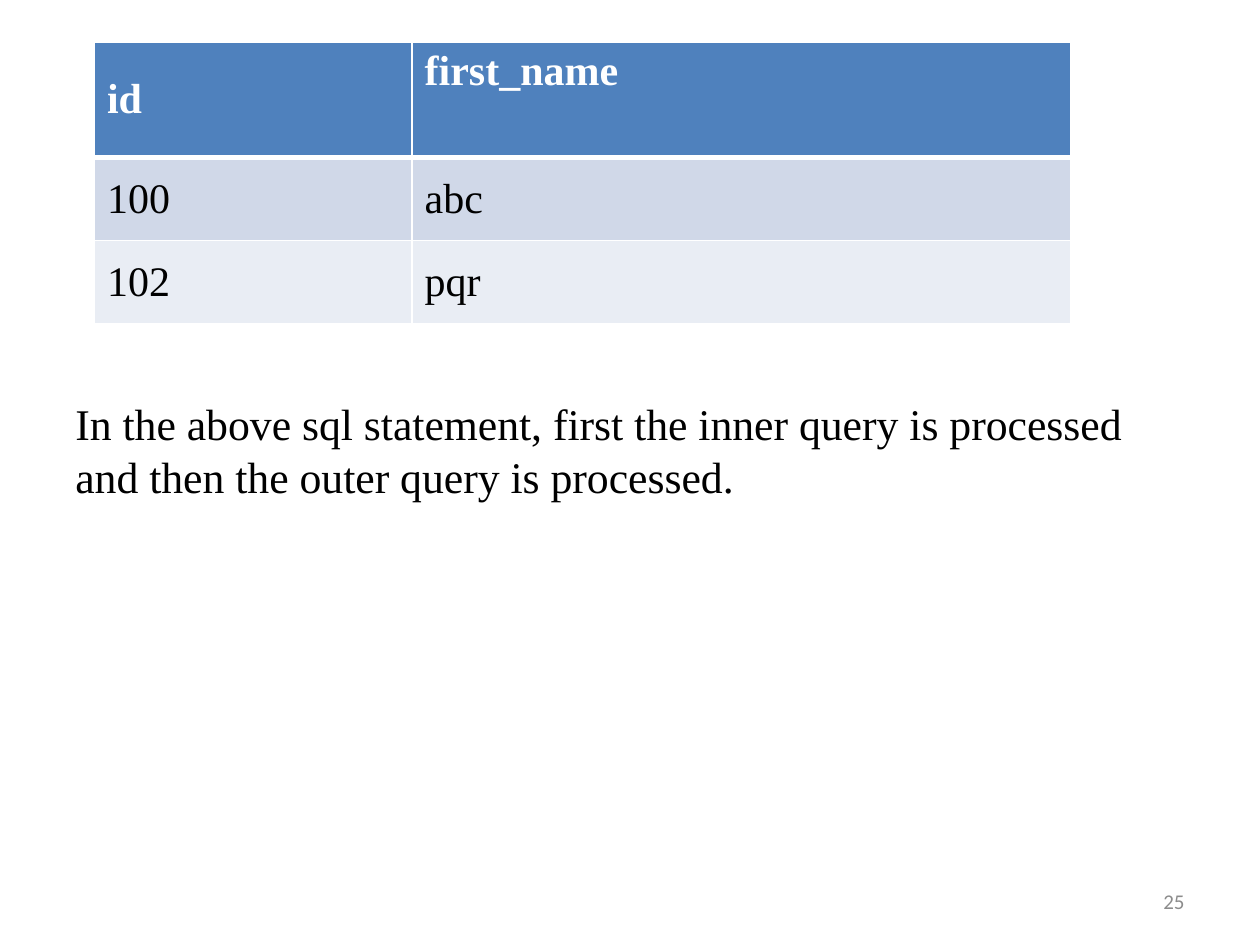
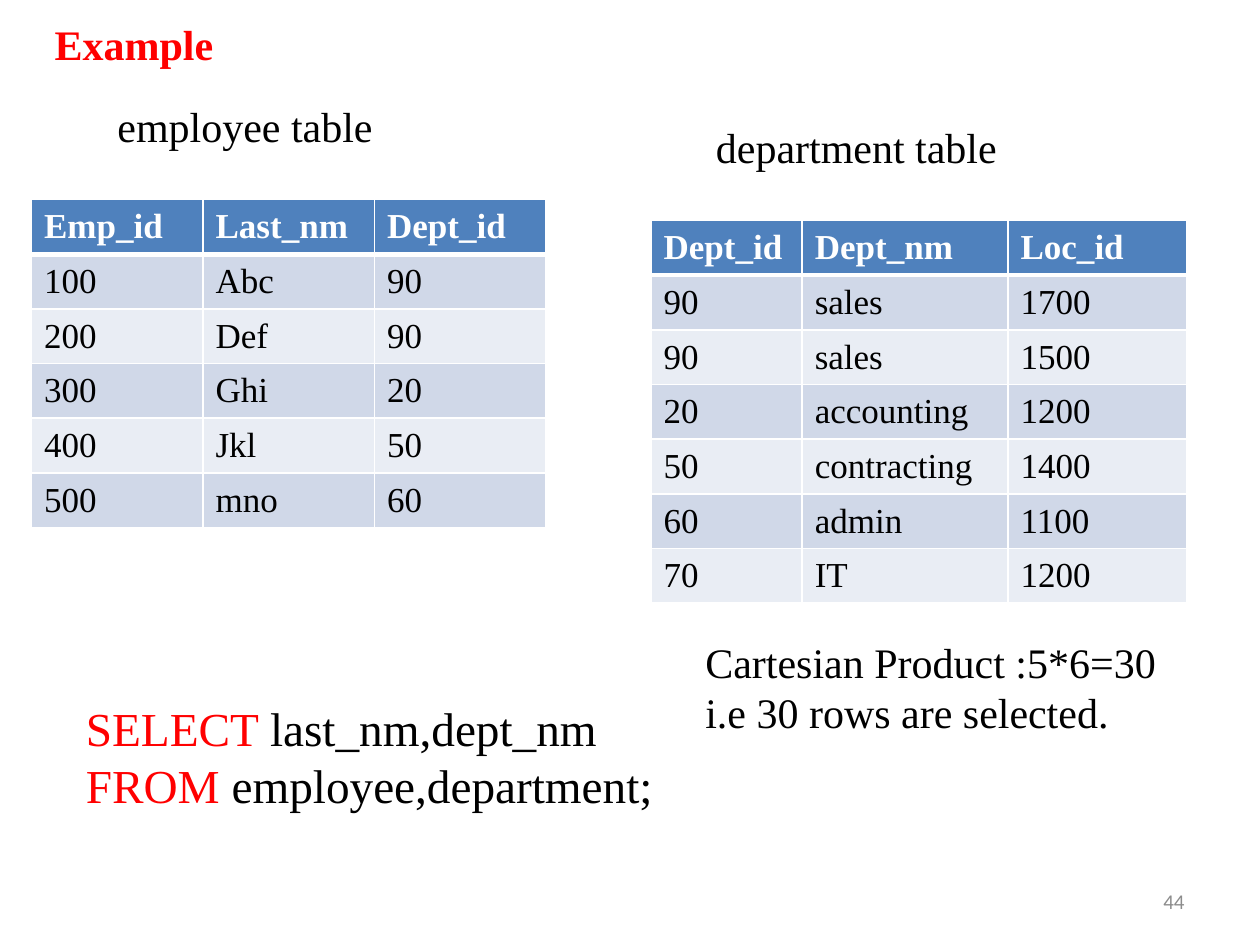
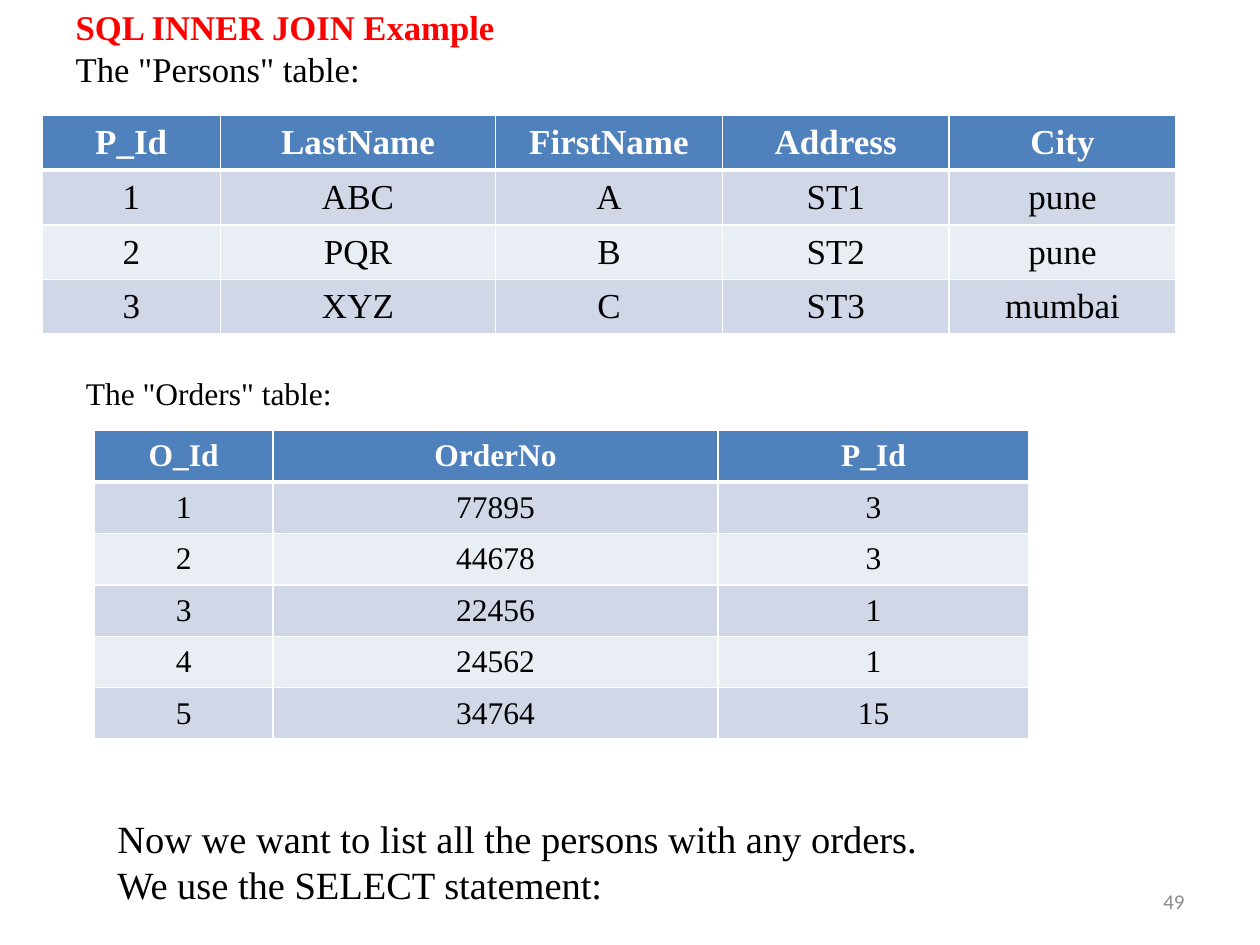
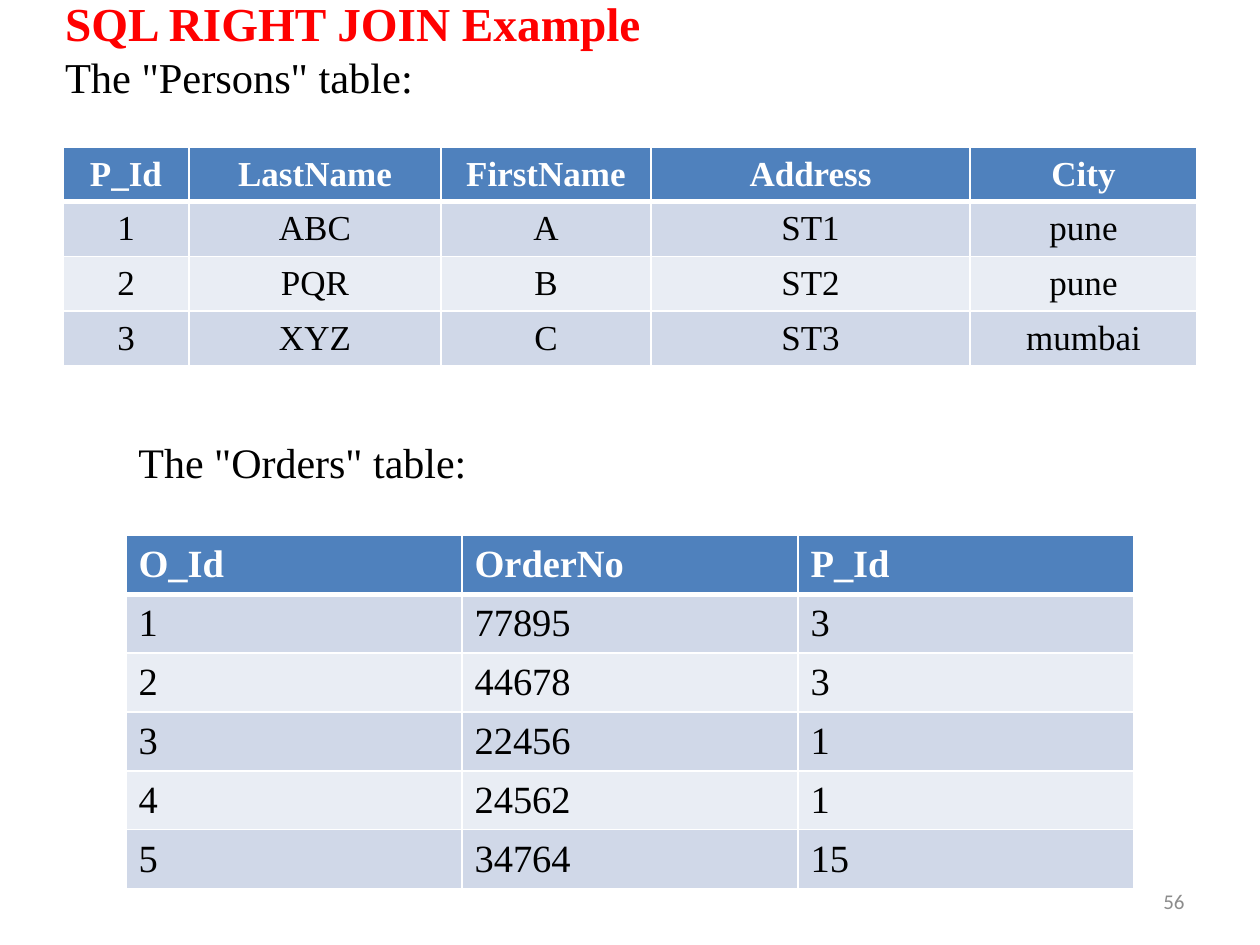
"""Build four slides on SQL subqueries and joins, laid out on a 120 by 90 grid."""
from dataclasses import dataclass
from typing import NamedTuple

from pptx import Presentation
from pptx.dml.color import RGBColor
from pptx.enum.text import MSO_ANCHOR, PP_ALIGN
from pptx.oxml import parse_xml
from pptx.oxml.ns import nsdecls
from pptx.slide import Slide
from pptx.table import Table, _Cell
from pptx.text.text import TextFrame
from pptx.util import Inches, Length, Pt

COLUMNS, ROWS = 120, 90
SLIDE_WIDTH, SLIDE_HEIGHT = Inches(10), Inches(7.5)
TITLE_ONLY, BLANK = 5, 6
SERIF, SANS = "Times New Roman", "Calibri"
BLACK = RGBColor(0x00, 0x00, 0x00)
WHITE = RGBColor(0xFF, 0xFF, 0xFF)
RED = RGBColor(0xFF, 0x00, 0x00)
GRAY = RGBColor(0x8C, 0x8C, 0x8C)
HEADER_BLUE = RGBColor(0x4F, 0x81, 0xBD)
BANDS = (RGBColor(0xE9, 0xED, 0xF4), RGBColor(0xD0, 0xD8, 0xE8))
THIN, THICK = Pt(1), Pt(3)


class Area(NamedTuple):
    """A rectangle in grid columns and rows."""
    left: float
    top: float
    width: float
    height: float


class Span(NamedTuple):
    """A piece of text whose unset format falls back to that of its frame."""
    text: str
    color: RGBColor | None = None
    size: float | None = None
    bold: bool | None = None


@dataclass(frozen=True)
class Grid:
    """A data table with its place and column widths on the grid."""
    left: float
    top: float
    widths: tuple[float, ...]
    records: tuple[tuple[str, ...], ...]
    size: float = 20
    align: PP_ALIGN = PP_ALIGN.LEFT
    row_height: float = 4.9
    header_height: float | None = None


Line = str | tuple[Span, ...]

NUMBER_AREA = Area(86, 83.4, 28, 4.8)
NAMES = (("id", "first_name"), ("100", "abc"), ("102", "pqr"))
EMPLOYEES = (
    ("Emp_id", "Last_nm", "Dept_id"),
    ("100", "Abc", "90"),
    ("200", "Def", "90"),
    ("300", "Ghi", "20"),
    ("400", "Jkl", "50"),
    ("500", "mno", "60"),
)
DEPARTMENTS = (
    ("Dept_id", "Dept_nm", "Loc_id"),
    ("90", "sales", "1700"),
    ("90", "sales", "1500"),
    ("20", "accounting", "1200"),
    ("50", "contracting", "1400"),
    ("60", "admin", "1100"),
    ("70", "IT", "1200"),
)
PERSONS = (
    ("P_Id", "LastName", "FirstName", "Address", "City"),
    ("1", "ABC", "A", "ST1", "pune"),
    ("2", "PQR", "B", "ST2", "pune"),
    ("3", "XYZ", "C", "ST3", "mumbai"),
)
ORDERS = (
    ("O_Id", "OrderNo", "P_Id"),
    ("1", "77895", "3"),
    ("2", "44678", "3"),
    ("3", "22456", "1"),
    ("4", "24562", "1"),
    ("5", "34764", "15"),
)
PERSONS_CAPTION = 'The "Persons" table:'
ORDERS_CAPTION = 'The "Orders" table:'


def across(columns: float) -> Length:
    """Return the length of a number of grid columns."""
    return Length(round(SLIDE_WIDTH * columns / COLUMNS))


def down(rows: float) -> Length:
    """Return the length of a number of grid rows."""
    return Length(round(SLIDE_HEIGHT * rows / ROWS))


def place(area: Area) -> tuple[Length, Length, Length, Length]:
    """Return left, top, width and height of an area on the slide."""
    return across(area.left), down(area.top), across(area.width), down(area.height)


def write(frame: TextFrame, *lines: Line, size: float = 24, color: RGBColor = BLACK,
          bold: bool = False, font: str = SERIF, align: PP_ALIGN = PP_ALIGN.LEFT) -> None:
    """Fill a frame with one paragraph per line."""
    for index, line in enumerate(lines):
        paragraph = frame.add_paragraph() if index else frame.paragraphs[0]
        paragraph.alignment = align
        for span in (Span(line),) if isinstance(line, str) else line:
            run = paragraph.add_run()
            run.text = span.text
            run.font.name = font
            run.font.size = Pt(span.size or size)
            run.font.bold = bold if span.bold is None else span.bold
            run.font.color.rgb = span.color or color


def add_text(slide: Slide, area: Area, *lines: Line, anchor: MSO_ANCHOR = MSO_ANCHOR.TOP,
             **text_format) -> None:
    """Add a wrapping text box."""
    frame = slide.shapes.add_textbox(*place(area)).text_frame
    frame.word_wrap = True
    frame.vertical_anchor = anchor
    write(frame, *lines, **text_format)


def set_title(slide: Slide, area: Area, *lines: Line, size: float,
              rows_below: float = 0) -> None:
    """Place the title, keeping some rows free below its text."""
    title = slide.shapes.title
    title.left, title.top, title.width, title.height = place(area)
    frame = title.text_frame
    frame.word_wrap = True
    frame.vertical_anchor = MSO_ANCHOR.BOTTOM if rows_below else MSO_ANCHOR.MIDDLE
    if rows_below:
        frame.margin_bottom = down(rows_below)
    write(frame, *lines, size=size, color=RED, bold=True)


def set_borders(cell: _Cell, top: Length, bottom: Length) -> None:
    """Draw white borders around a cell."""
    properties = cell._tc.get_or_add_tcPr()
    edges = {"lnL": THIN, "lnR": THIN, "lnT": top, "lnB": bottom}
    for index, (edge, width) in enumerate(edges.items()):
        properties.insert(index, parse_xml(
            f'<a:{edge} {nsdecls("a")} w="{int(width)}"><a:solidFill>'
            f'<a:srgbClr val="{WHITE}"/></a:solidFill></a:{edge}>'))


def add_grid(slide: Slide, grid: Grid) -> Table:
    """Add a table with a blue header and banded rows."""
    heights = [grid.row_height] * len(grid.records)
    heights[0] = grid.header_height or grid.row_height
    area = Area(grid.left, grid.top, sum(grid.widths), sum(heights))
    table = slide.shapes.add_table(len(heights), len(grid.widths), *place(area)).table
    for column, width in zip(table.columns, grid.widths):
        column.width = across(width)
    for number, (row, height, record) in enumerate(zip(table.rows, heights, grid.records)):
        row.height = down(height)
        header = number == 0
        for cell, value in zip(row.cells, record):
            cell.vertical_anchor = MSO_ANCHOR.MIDDLE
            cell.fill.solid()
            cell.fill.fore_color.rgb = HEADER_BLUE if header else BANDS[number % 2]
            set_borders(cell, THICK if number == 1 else THIN, THICK if header else THIN)
            write(cell.text_frame, value, size=grid.size, bold=header,
                  color=WHITE if header else BLACK, align=grid.align)
    return table


def start_slide(deck: Presentation, layout: int, number: int) -> Slide:
    """Add a slide with its page number."""
    slide = deck.slides.add_slide(deck.slide_layouts[layout])
    add_text(slide, NUMBER_AREA, str(number), size=12, color=GRAY, font=SANS,
             align=PP_ALIGN.RIGHT, anchor=MSO_ANCHOR.MIDDLE)
    return slide


def add_subquery_result(deck: Presentation) -> None:
    """Show the result of a nested query."""
    slide = start_slide(deck, BLANK, 25)
    names = add_grid(slide, Grid(9, 4, (30.25, 62.75), NAMES, size=24,
                                 row_height=7.9, header_height=11))
    names.cell(0, 1).vertical_anchor = MSO_ANCHOR.TOP
    add_text(slide, Area(6, 27, 109, 21.4),
             "In the above sql statement, first the inner query is processed "
             "and then the outer query is processed.",
             size=25, anchor=MSO_ANCHOR.BOTTOM)


def add_cartesian_product(deck: Presentation) -> None:
    """Show two tables and their Cartesian product."""
    slide = start_slide(deck, TITLE_ONLY, 44)
    set_title(slide, Area(4, 2, 108, 4.4), "Example", size=24)
    add_grid(slide, Grid(3, 19, (49 / 3,) * 3, EMPLOYEES))
    add_grid(slide, Grid(62, 21, (14.4, 19.6, 17), DEPARTMENTS))
    add_text(slide, Area(7, 66, 102, 12.1),
             (Span("SELECT ", RED), Span("last_nm,dept_nm")),
             (Span("FROM ", RED), Span("employee,department;")), size=27)
    add_text(slide, Area(66, 60, 49, 10.9),
             "Cartesian Product :5*6=30 i.e 30 rows are selected.")
    add_text(slide, Area(10, 9, 34, 6), "employee table")
    add_text(slide, Area(67, 11, 34, 6), "department table")


def add_inner_join(deck: Presentation) -> None:
    """Show the tables of the inner join."""
    slide = start_slide(deck, TITLE_ONLY, 49)
    set_title(slide, Area(6, 0, 108, 13), "SQL INNER JOIN Example",
              (Span(PERSONS_CAPTION, BLACK, bold=False),), size=19.8, rows_below=4.5)
    add_grid(slide, Grid(4, 11, (17, 26.2) + (21.6,) * 3, PERSONS, align=PP_ALIGN.CENTER))
    add_text(slide, Area(7, 35, 49, 5), ORDERS_CAPTION, size=18)
    add_grid(slide, Grid(9, 41, (17, 42.4, 29.6), ORDERS, size=18, align=PP_ALIGN.CENTER))
    add_text(slide, Area(10, 77, 102, 10.1),
             "Now we want to list all the persons with any orders.",
             "We use the SELECT statement:", size=22)


def add_right_join(deck: Presentation) -> None:
    """Show the tables of the right join."""
    slide = start_slide(deck, TITLE_ONLY, 56)
    set_title(slide, Area(5, 4, 108, 9), "SQL RIGHT JOIN Example",
              (Span(PERSONS_CAPTION, BLACK, 24.3, False),), size=27, rows_below=3.25)
    add_grid(slide, Grid(6, 14, (12, 24, 20, 30.4, 21.6), PERSONS, align=PP_ALIGN.CENTER))
    add_grid(slide, Grid(12, 51, (32,) * 3, ORDERS, size=22, row_height=5.25))
    add_text(slide, Area(12, 41, 34, 6), ORDERS_CAPTION)


def main() -> None:
    """Build and save the presentation."""
    deck = Presentation()
    deck.slide_width, deck.slide_height = SLIDE_WIDTH, SLIDE_HEIGHT
    for add_content in (add_subquery_result, add_cartesian_product,
                        add_inner_join, add_right_join):
        add_content(deck)
    deck.save("out.pptx")


main()
